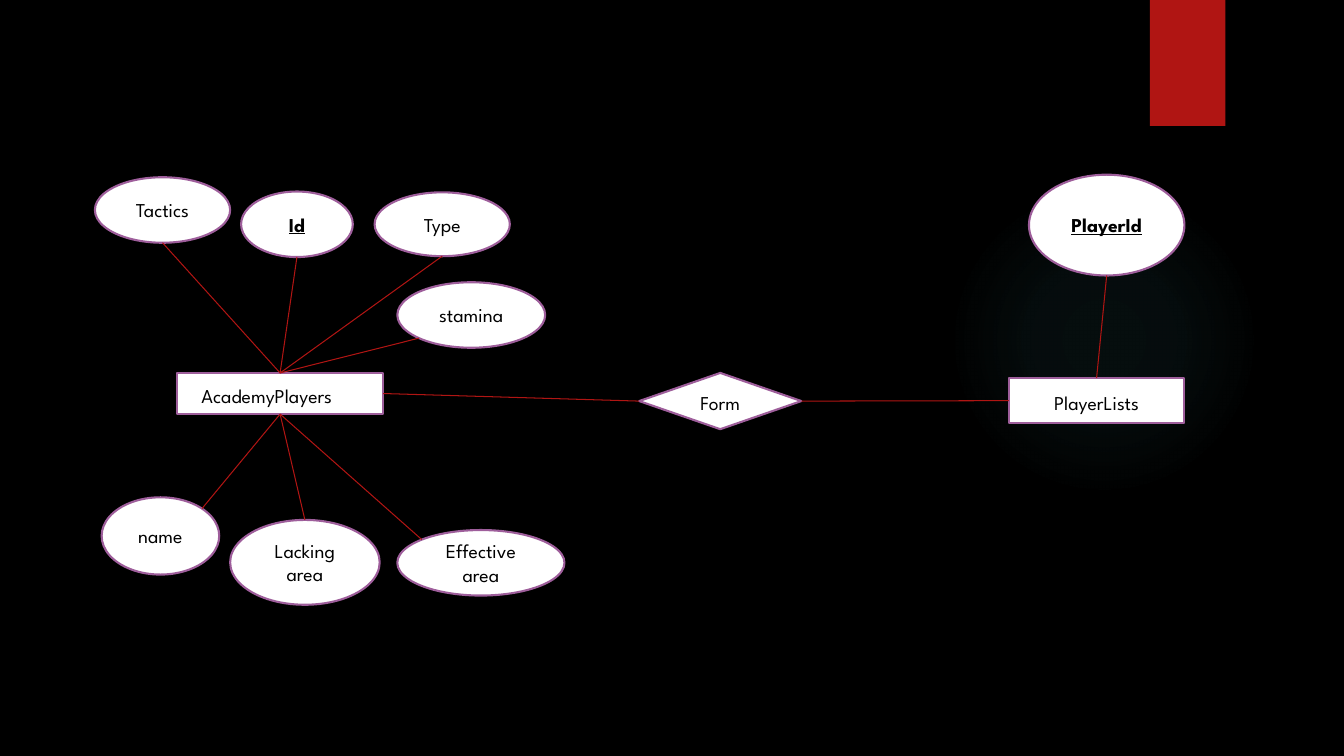
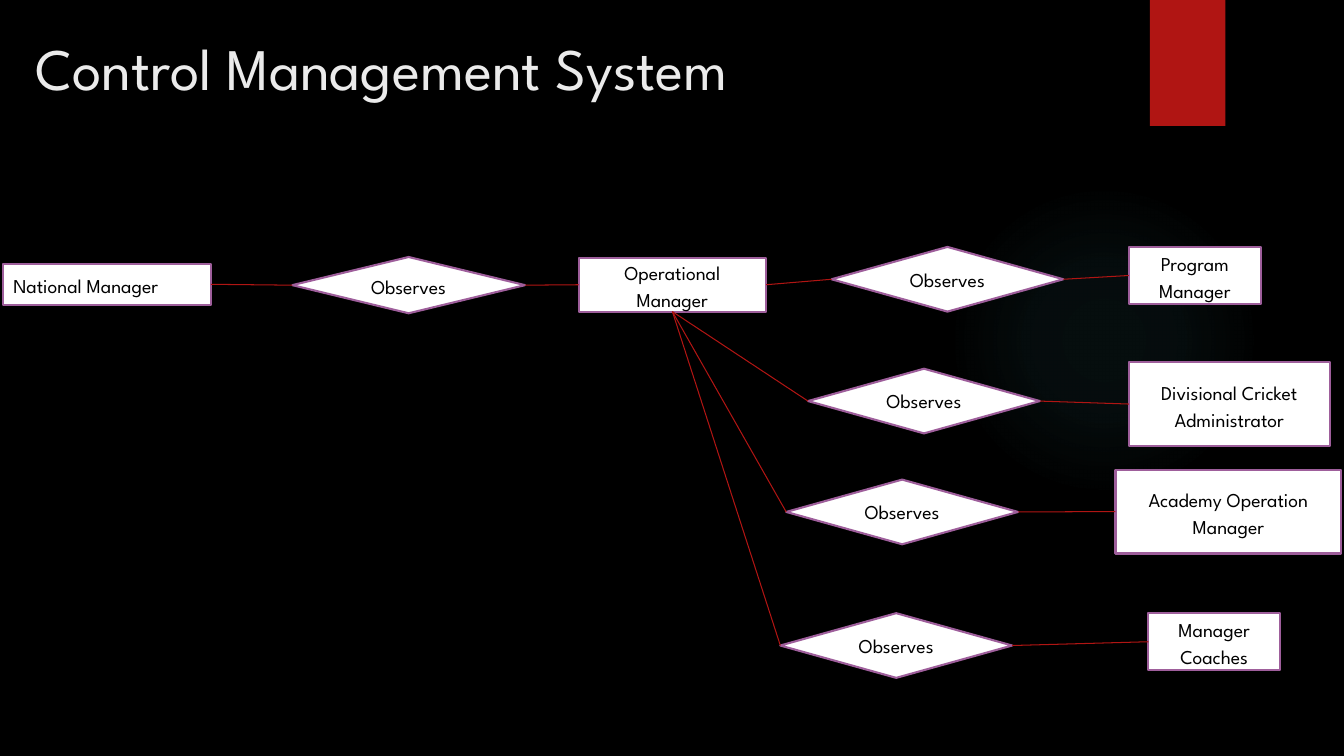
from dataclasses import dataclass
from enum import Enum
from math import sqrt
from typing import Optional

from lxml.etree import SubElement
from pptx import Presentation
from pptx.dml.color import RGBColor
from pptx.enum.shapes import MSO_CONNECTOR, MSO_SHAPE
from pptx.enum.text import MSO_ANCHOR, PP_ALIGN
from pptx.oxml import parse_xml
from pptx.oxml.ns import nsdecls, qn
from pptx.shapes.autoshape import Shape
from pptx.slide import Slide
from pptx.util import Emu, Inches, Pt

COLS, ROWS = 160, 90
WIDTH, HEIGHT = Inches(13.333), Inches(7.5)
BOX, OVAL, GEM = MSO_SHAPE.RECTANGLE, MSO_SHAPE.OVAL, MSO_SHAPE.DIAMOND


@dataclass(frozen=True)
class Theme:
    font: str = "League Spartan"
    back: str = "000000"
    ink: str = "000000"
    paper: str = "FFFFFF"
    edge: str = "9E5E9B"
    red: str = "B01513"
    head: str = "EBEBEB"
    glow: str = "50B9C1"
    title: float = 42
    label: float = 14
    rim: float = 1.5
    wire: float = 0.75


THEME = Theme()


@dataclass(frozen=True)
class Area:
    left: float
    top: float
    wide: float
    high: float

    def spans(self) -> tuple[Emu, Emu, Emu, Emu]:
        return (across(self.left), down(self.top),
                across(self.wide), down(self.high))


@dataclass(frozen=True)
class Node:
    key: str
    text: str
    kind: MSO_SHAPE
    area: Area
    loose: bool = True
    strong: bool = False
    align: PP_ALIGN = PP_ALIGN.CENTER
    inset: float = 0.1


SLANT = sqrt(0.5) / 2


class Side(Enum):
    TOP = (0.5, 0, 0)
    LEFT = (0, 0.5, 1)
    BOTTOM = (0.5, 1, 2)
    RIGHT = (1, 0.5, 3)
    UPLEFT = (0.5 - SLANT, 0.5 - SLANT, None)
    UPRIGHT = (0.5 + SLANT, 0.5 - SLANT, None)
    LOWLEFT = (0.5 - SLANT, 0.5 + SLANT, None)

    def spot(self, shape: Shape) -> tuple[Emu, Emu]:
        x, y, _ = self.value
        return (Emu(round(shape.left + x * shape.width)),
                Emu(round(shape.top + y * shape.height)))

    def site(self, shape: Shape) -> Optional[int]:
        return None if shape.auto_shape_type == OVAL else self.value[2]


@dataclass(frozen=True)
class Link:
    start: str
    out: Side
    end: str
    into: Side


@dataclass(frozen=True)
class Branch:
    out: Side
    left: float
    top: float
    text: str
    area: Area


def across(cols: float) -> Emu:
    return Emu(round(WIDTH * cols / COLS))


def down(rows: float) -> Emu:
    return Emu(round(HEIGHT * rows / ROWS))


def shade(code: str) -> RGBColor:
    return RGBColor.from_string(code)


def plain(slide: Slide, kind: MSO_SHAPE, area: Area, fill: str) -> Shape:
    shape = slide.shapes.add_shape(kind, *area.spans())
    shape.shadow.inherit = False
    shape.fill.solid()
    shape.fill.fore_color.rgb = shade(fill)
    shape.line.fill.background()
    return shape


def add_glow(slide: Slide) -> None:
    glow = plain(slide, OVAL, Area(112.9, 22, 37, 37), THEME.glow)
    stops = "".join(
        f'<a:gs pos="{place * 1000}"><a:srgbClr val="{THEME.glow}">'
        f'<a:alpha val="{alpha * 1000}"/></a:srgbClr></a:gs>'
        for place, alpha in ((0, 7), (36, 6), (69, 0)))
    fade = parse_xml(
        f'<a:gradFill {nsdecls("a")}><a:gsLst>{stops}</a:gsLst>'
        '<a:path path="circle"><a:fillToRect l="50000" t="50000" '
        'r="50000" b="50000"/></a:path></a:gradFill>')
    props = glow._element.spPr
    props.replace(props.find(qn("a:solidFill")), fade)


def add_page(prs: Presentation) -> Slide:
    slide = prs.slides.add_slide(prs.slide_layouts[6])
    add_glow(slide)
    plain(slide, BOX, Area(136.9, 0, 9, 15), THEME.red)
    return slide


def add_title(slide: Slide, text: str) -> None:
    frame = slide.shapes.add_textbox(
        *Area(3, 3.2, 129.5, 18.4).spans()).text_frame
    frame.word_wrap = True
    para = frame.paragraphs[0]
    para.text = text
    para.font.name = THEME.font
    para.font.size = Pt(THEME.title)
    para.font.color.rgb = shade(THEME.head)


def add_node(slide: Slide, node: Node) -> Shape:
    shape = plain(slide, node.kind, node.area, THEME.paper)
    shape.line.color.rgb = shade(THEME.edge)
    shape.line.width = Pt(THEME.rim)
    frame = shape.text_frame
    frame.word_wrap = True
    frame.vertical_anchor = MSO_ANCHOR.MIDDLE
    frame.margin_left = Inches(node.inset)
    para = frame.paragraphs[0]
    para.text = node.text
    para.alignment = node.align
    if node.loose:
        para.line_spacing = 1.15
        para.space_after = Pt(10)
    font = para.font
    font.name = THEME.font
    font.size = Pt(THEME.label)
    font.color.rgb = shade(THEME.ink)
    if node.strong:
        font.bold = font.underline = True
    return shape


def add_link(slide: Slide, link: Link, shapes: dict[str, Shape]) -> None:
    start, end = shapes[link.start], shapes[link.end]
    wire = slide.shapes.add_connector(
        MSO_CONNECTOR.STRAIGHT, *link.out.spot(start), *link.into.spot(end))
    wire.line.color.rgb = shade(THEME.red)
    wire.line.width = Pt(THEME.wire)
    SubElement(wire._element.spPr, qn("a:effectLst"))
    first, last = link.out.site(start), link.into.site(end)
    if first is not None:
        wire.begin_connect(start, first)
    if last is not None:
        wire.end_connect(end, last)


def add_graph(slide: Slide, nodes: list[Node], links: list[Link]) -> None:
    shapes = {node.key: add_node(slide, node) for node in nodes}
    for link in links:
        add_link(slide, link, shapes)


def oval(text: str, area: Area, strong: bool = False) -> Node:
    return Node(text, text, OVAL, area, loose=False, strong=strong)


def draw_players(prs: Presentation) -> None:
    team, form, lists = "AcademyPlayers", "Form", "PlayerLists"
    nodes = [
        Node(team, team, BOX, Area(21.1, 44.4, 24.5, 4.9),
             align=PP_ALIGN.LEFT, inset=0.24),
        Node(lists, lists, BOX, Area(120.1, 45, 20.9, 5.4)),
        Node(form, form, GEM, Area(76.1, 44.4, 19.3, 6.7)),
        oval("Tactics", Area(11.3, 21.1, 16.1, 7.8)),
        oval("Id", Area(28.7, 22.8, 13.3, 7.8), True),
        oval("Type", Area(44.6, 22.9, 16.1, 7.6)),
        oval("name", Area(12.1, 59.2, 14, 9.2)),
        oval("stamina", Area(47.3, 33.6, 17.6, 7.8)),
        oval("Effective area", Area(47.3, 63.1, 19.9, 7.8)),
        oval("Lacking area", Area(27.4, 61.9, 17.8, 10.1)),
        oval("PlayerId", Area(122.5, 20.8, 18.5, 12), True),
    ]
    traits = [
        (Side.TOP, "Tactics", Side.BOTTOM),
        (Side.TOP, "Id", Side.BOTTOM),
        (Side.TOP, "Type", Side.BOTTOM),
        (Side.TOP, "stamina", Side.LOWLEFT),
        (Side.BOTTOM, "name", Side.UPRIGHT),
        (Side.BOTTOM, "Lacking area", Side.TOP),
        (Side.BOTTOM, "Effective area", Side.UPLEFT),
    ]
    links = [
        Link(team, Side.RIGHT, form, Side.LEFT),
        Link(form, Side.RIGHT, lists, Side.LEFT),
        Link("PlayerId", Side.BOTTOM, lists, Side.TOP),
        *(Link(team, *trait) for trait in traits),
    ]
    add_graph(add_page(prs), nodes, links)


def draw_control(prs: Presentation) -> None:
    chief, boss, verb = "National Manager", "Operational Manager", "Observes"
    nodes = [
        Node(chief, chief, BOX, Area(0.4, 31.4, 24.7, 4.9),
             align=PP_ALIGN.LEFT),
        Node(boss, boss, BOX, Area(68.9, 30.7, 22.3, 6.4)),
        Node(verb, verb, GEM, Area(34.8, 30.6, 27.7, 6.7)),
    ]
    links = [
        Link(chief, Side.RIGHT, verb, Side.LEFT),
        Link(verb, Side.RIGHT, boss, Side.LEFT),
    ]
    branches = [
        Branch(Side.RIGHT, 99, 29.4, "Program Manager",
               Area(134.4, 29.4, 15.7, 6.8)),
        Branch(Side.BOTTOM, 96.2, 43.9, "Divisional Cricket Administrator",
               Area(134.4, 43.1, 23.9, 10)),
        Branch(Side.BOTTOM, 93.6, 57.1, "Academy Operation Manager",
               Area(132.8, 55.9, 26.9, 10)),
        Branch(Side.BOTTOM, 92.9, 73, "Manager Coaches",
               Area(136.7, 73, 15.7, 6.8)),
    ]
    for item in branches:
        gem = f"{verb} {item.text}"
        nodes += [
            Node(item.text, item.text, BOX, item.area),
            Node(gem, verb, GEM, Area(item.left, item.top, 27.6, 7.7),
                 loose=False),
        ]
        links += [
            Link(boss, item.out, gem, Side.LEFT),
            Link(gem, Side.RIGHT, item.text, Side.LEFT),
        ]
    slide = add_page(prs)
    add_graph(slide, nodes, links)
    add_title(slide, "Control Management System")


def main() -> None:
    prs = Presentation()
    prs.slide_width, prs.slide_height = WIDTH, HEIGHT
    fill = prs.slide_master.background.fill
    fill.solid()
    fill.fore_color.rgb = shade(THEME.back)
    draw_players(prs)
    draw_control(prs)
    prs.save("out.pptx")


if __name__ == "__main__":
    main()
